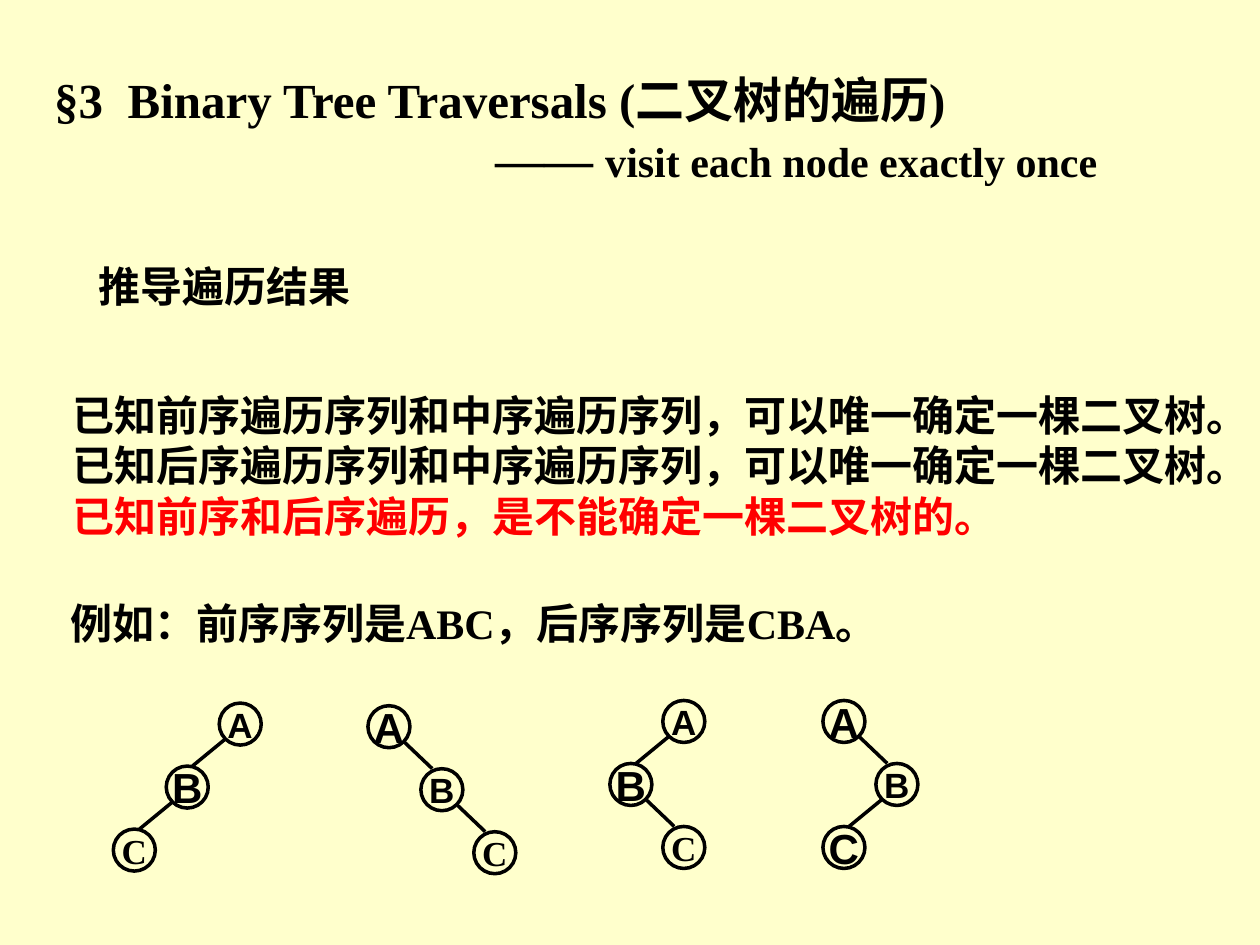
from dataclasses import dataclass
from typing import NamedTuple

import lxml.etree
import pptx
import pptx.dml.color
import pptx.enum.shapes
import pptx.enum.text
import pptx.oxml.ns
import pptx.util

Pt = pptx.util.Pt
Anchor = pptx.enum.text.MSO_ANCHOR
Align = pptx.enum.text.PP_ALIGN
Fit = pptx.enum.text.MSO_AUTO_SIZE


@dataclass(frozen=True)
class Theme:
    paper: str = "FFFFCC"
    ink: str = "000000"
    accent: str = "FF0000"
    serif: str = "Times New Roman"
    sans: str = "Arial"
    title: int = 28
    body: int = 24
    small: int = 20
    stroke: int = 2


class Box(NamedTuple):
    left: float
    top: float
    width: float
    height: float

    def lengths(self):
        return [Pt(value) for value in self]


THEME = Theme()
NODE_SIZE = 24
COLUMN_STEP = 30.25
ROW_STEP = 36
EDGE_START = 9


def rgb(value):
    return pptx.dml.color.RGBColor.from_string(value)


def add_xml(parent, tag, **attributes):
    return lxml.etree.SubElement(parent, pptx.oxml.ns.qn(tag), attributes)


def write(para, text, size=THEME.body, color=THEME.ink, face=THEME.serif):
    span = para.add_run()
    span.text = text
    span.font.size = Pt(size)
    span.font.name = face
    span.font.bold = True
    span.font.color.rgb = rgb(color)


def add_title(page, box):
    title = page.shapes.title
    title.left, title.top, title.width, title.height = box.lengths()
    frame = title.text_frame
    frame.word_wrap = True
    frame.auto_size = Fit.SHAPE_TO_FIT_TEXT
    frame.vertical_anchor = Anchor.TOP

    heading = frame.paragraphs[0]
    heading.alignment = Align.LEFT
    tabs = add_xml(heading._p.get_or_add_pPr(), "a:tabLst")
    add_xml(tabs, "a:tab", pos=str(int(Pt(42))), algn="l")
    write(heading, "§3\tBinary Tree Traversals (二叉树的遍历)", size=THEME.title)

    subtitle = frame.add_paragraph()
    subtitle.alignment = Align.LEFT
    subtitle._p.get_or_add_pPr().set("marL", str(int(Pt(252))))
    write(subtitle, "—— ", size=THEME.title)
    write(subtitle, "visit each node exactly once")


def add_statements(page, box, *statements):
    frame = page.shapes.add_textbox(*box.lengths()).text_frame
    frame.word_wrap = False
    frame.auto_size = Fit.SHAPE_TO_FIT_TEXT
    for index, (text, color) in enumerate(statements):
        para = frame.add_paragraph() if index else frame.paragraphs[0]
        write(para, text, color=color)


def add_node(group, box, letter, size, face):
    node = group.shapes.add_shape(
        pptx.enum.shapes.MSO_SHAPE.OVAL, *box.lengths())
    node.shadow.inherit = False
    node.fill.background()
    node.line.color.rgb = rgb(THEME.ink)
    node.line.width = Pt(THEME.stroke)
    frame = node.text_frame
    frame.word_wrap = False
    frame.vertical_anchor = Anchor.MIDDLE
    para = frame.paragraphs[0]
    para.alignment = Align.CENTER
    write(para, letter, size=size, face=face)


def add_edge(group, parent, child):
    radius = NODE_SIZE / 2
    side = 1 if child.left > parent.left else -1
    inset = 5.5 if side > 0 else 3
    ends = (parent.left + radius + side * EDGE_START,
            parent.top + radius + EDGE_START,
            child.left + radius - side * inset,
            child.top)
    edge = group.shapes.add_connector(
        pptx.enum.shapes.MSO_CONNECTOR.STRAIGHT, *[Pt(end) for end in ends])
    edge.line.color.rgb = rgb(THEME.ink)
    edge.line.width = Pt(THEME.stroke)
    add_xml(edge._element.spPr, "a:effectLst")


def add_tree(page, left, top, columns, styles):
    group = page.shapes.add_group_shape()
    parent = None
    for row, (letter, column, style) in enumerate(zip("ABC", columns, styles)):
        box = Box(left + column * COLUMN_STEP, top + row * ROW_STEP,
                  NODE_SIZE, NODE_SIZE)
        add_node(group, box, letter, *style)
        if parent:
            add_edge(group, parent, box)
        parent = box


def main():
    deck = pptx.Presentation()
    deck.slide_width, deck.slide_height = Pt(720), Pt(540)
    page = deck.slides.add_slide(deck.slide_layouts.get_by_name("Title Only"))
    page.background.fill.solid()
    page.background.fill.fore_color.rgb = rgb(THEME.paper)

    add_title(page, Box(23.75, 36, 653.75, 75))
    add_statements(page, Box(49, 145.5, 158.5, 36),
                   ("推导遍历结果", THEME.ink))
    add_statements(
        page, Box(34.5, 219, 686, 93.5),
        ("已知前序遍历序列和中序遍历序列，可以唯一确定一棵二叉树。", THEME.ink),
        ("已知后序遍历序列和中序遍历序列，可以唯一确定一棵二叉树。", THEME.ink),
        ("已知前序和后序遍历，是不能确定一棵二叉树的。", THEME.accent))
    add_statements(page, Box(33, 337.75, 499, 36),
                   ("例如：前序序列是ABC，后序序列是CBA。", THEME.ink))

    large = (THEME.body, THEME.sans)
    small = (THEME.small, THEME.sans)
    serif = (THEME.small, THEME.serif)
    add_tree(page, 64.75, 401.75, (2, 1, 0), (small, large, serif))
    add_tree(page, 210.25, 403.25, (0, 1, 2), (large, small, serif))
    add_tree(page, 348.5, 400.25, (1, 0, 1), (small, large, serif))
    add_tree(page, 470.25, 400.25, (0, 1, 0), (large, small, large))

    deck.save("out.pptx")


if __name__ == "__main__":
    main()
